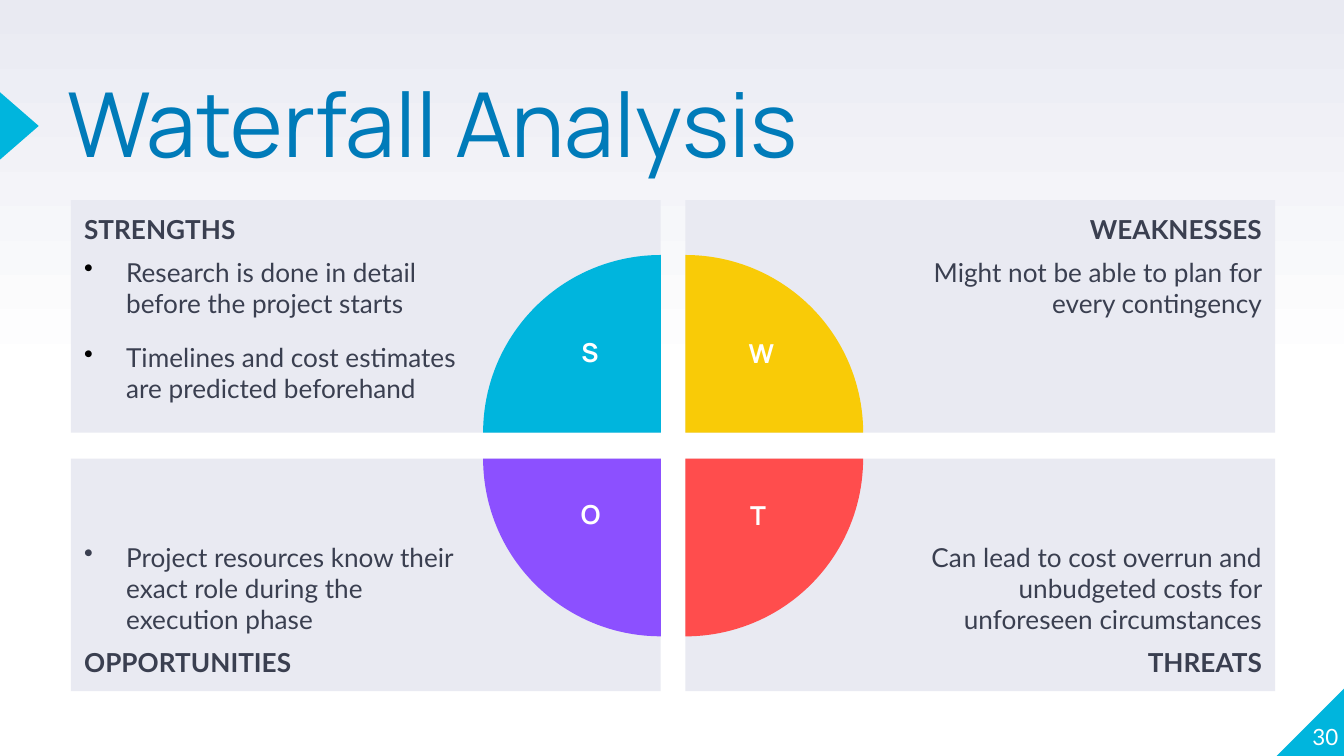
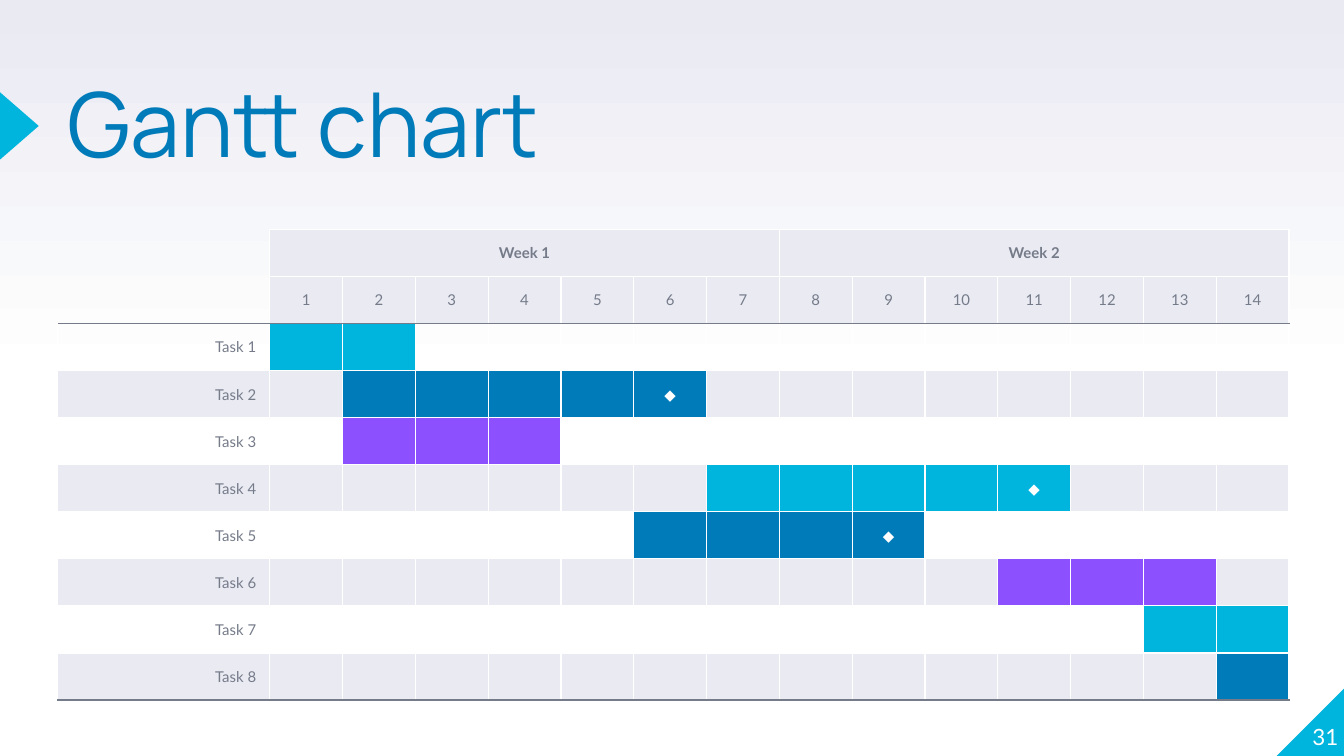
"""Build a SWOT slide and a Gantt slide in one shared style."""
import copy

import lxml.etree
import pptx
import pptx.dml.color
import pptx.enum.shapes
import pptx.enum.text
import pptx.oxml.ns
import pptx.util

Pt = pptx.util.Pt
RGB = pptx.dml.color.RGBColor
SHAPE = pptx.enum.shapes.MSO_SHAPE
ALIGN = pptx.enum.text.PP_ALIGN
ANCHOR = pptx.enum.text.MSO_ANCHOR
qn = pptx.oxml.ns.qn

WHITE = RGB(0xFF, 0xFF, 0xFF)
BLACK = RGB(0x00, 0x00, 0x00)
MIST = RGB(0xE9, 0xEA, 0xF2)
INK = RGB(0x3A, 0x3F, 0x50)
SLATE = RGB(0x75, 0x7B, 0x89)
CYAN = RGB(0x00, 0xB5, 0xDD)
BLUE = RGB(0x00, 0x7B, 0xB9)
VIOLET = RGB(0x8C, 0x50, 0xFF)
YELLOW = RGB(0xF9, 0xCB, 0x07)
RED = RGB(0xFF, 0x4D, 0x4D)
HEADING_FONT = "Manrope"
BODY_FONT = "Lato"


class Deck:
    def __init__(self):
        self.presentation = pptx.Presentation()
        self.presentation.slide_width = Pt(720)
        self.presentation.slide_height = Pt(405)
        self.slide = None

    def new_slide(self, title, number):
        self.slide = self.presentation.slides.add_slide(self.presentation.slide_layouts[5])
        self.background()
        corner = self.shape(SHAPE.RIGHT_TRIANGLE, 684, 368.2, 36.8, 36.8, CYAN)
        corner.element.spPr.find(qn("a:xfrm")).set("flipH", "1")
        self.shape(SHAPE.ISOSCELES_TRIANGLE, -8, 57, 36.5, 21, CYAN, rotation=90)
        self.title(title)
        self.text_box(681, 365, 36, 36.8, number, 12, BODY_FONT, align=ALIGN.RIGHT,
                      anchor=ANCHOR.BOTTOM, insets=(0, 0, 0, 0))

    def background(self):
        fill = self.slide.background.fill
        fill.gradient()
        fill.gradient_angle = 90
        first = self.slide.element.xpath(".//a:gsLst/a:gs")[0]
        first.addnext(copy.deepcopy(first))
        for stop, position, color in zip(fill.gradient_stops, (0, 0.5, 1), (WHITE, WHITE, MIST)):
            stop.position = position
            stop.color.rgb = color

    def title(self, text):
        title = self.slide.shapes.title
        title.left, title.top, title.width, title.height = Pt(36), Pt(47.5), Pt(444), Pt(85)
        self.frame(title, (0, 0, 0, 0), ANCHOR.TOP)
        title.text_frame.auto_size = pptx.enum.text.MSO_AUTO_SIZE.NONE
        paragraph = title.text_frame.paragraphs[0]
        paragraph.line_spacing = 0.8
        self.run(paragraph, text, 48, BLUE, HEADING_FONT, align=ALIGN.LEFT)

    def shape(self, kind, left, top, width, height, color, rotation=0):
        shape = self.slide.shapes.add_shape(kind, Pt(left), Pt(top), Pt(width), Pt(height))
        shape.shadow.inherit = False
        shape.fill.solid()
        shape.fill.fore_color.rgb = color
        shape.line.fill.background()
        shape.rotation = rotation
        return shape

    def frame(self, holder, insets, anchor):
        frame = holder.text_frame
        frame.word_wrap = True
        frame.vertical_anchor = anchor
        (frame.margin_left, frame.margin_top,
         frame.margin_right, frame.margin_bottom) = map(Pt, insets)

    def run(self, paragraph, text, size, color, font, bold=False, align=ALIGN.CENTER):
        paragraph.alignment = align
        run = paragraph.add_run()
        run.text = text
        run.font.size = Pt(size)
        run.font.name = font
        run.font.bold = bold
        run.font.color.rgb = color

    def text_box(self, left, top, width, height, text, size, font, bold=False,
                 align=ALIGN.CENTER, anchor=ANCHOR.TOP, insets=(7.2, 3.6, 7.2, 3.6)):
        box = self.slide.shapes.add_textbox(Pt(left), Pt(top), Pt(width), Pt(height))
        self.frame(box, insets, anchor)
        self.run(box.text_frame.paragraphs[0], text, size, WHITE, font, bold, align)

    def bullet(self, paragraph, color):
        properties = paragraph._p.get_or_add_pPr()
        properties.set("marL", str(Pt(22.5)))
        properties.set("indent", str(-Pt(22.5)))
        bullet_color = lxml.etree.SubElement(properties, qn("a:buClr"))
        lxml.etree.SubElement(bullet_color, qn("a:srgbClr"), val=str(color))
        lxml.etree.SubElement(properties, qn("a:buChar"), char="•")

    def panel(self, left, top, width, height, heading, points, bullet_color, on_right, at_bottom):
        panel = self.shape(SHAPE.RECTANGLE, left, top, width, height, MIST)
        insets = (108, 7.2, 7.2, 7.2) if on_right else (7.2, 7.2, 108, 7.2)
        self.frame(panel, insets, ANCHOR.BOTTOM if at_bottom else ANCHOR.TOP)
        lines = points + [heading] if at_bottom else [heading] + points
        for index, line in enumerate(lines):
            frame = panel.text_frame
            paragraph = frame.add_paragraph() if index else frame.paragraphs[0]
            if bullet_color is not None and line != heading:
                self.bullet(paragraph, bullet_color)
            if index:
                paragraph.space_before = paragraph.space_after = Pt(6)
            self.run(paragraph, line, 14, INK, BODY_FONT, line == heading,
                     ALIGN.RIGHT if on_right else ALIGN.LEFT)

    def quarter(self, center_x, center_y, radius, color, rotation):
        pie = self.shape(SHAPE.PIE, center_x - radius, center_y - radius,
                         2 * radius, 2 * radius, color, rotation)
        pie.adjustments[0] = 108
        pie.adjustments[1] = 162

    def table(self, left, top, widths, row_height, row_count):
        table = self.slide.shapes.add_table(row_count, len(widths), Pt(left), Pt(top),
                                            Pt(sum(widths)), Pt(row_height * row_count)).table
        table.first_row = table.horz_banding = False
        for column, width in zip(table.columns, widths):
            column.width = Pt(width)
        for row in table.rows:
            row.height = Pt(row_height)
        return table

    def cell(self, cell, text, fill, borders, color=SLATE, bold=False, align=ALIGN.CENTER):
        cell.vertical_anchor = ANCHOR.MIDDLE
        if fill is None:
            cell.fill.background()
        else:
            cell.fill.solid()
            cell.fill.fore_color.rgb = fill
        paragraph = cell.text_frame.paragraphs[0]
        if text:
            self.run(paragraph, text, 8, color, BODY_FONT, bold, align)
        else:
            lxml.etree.SubElement(paragraph._p, qn("a:endParaRPr"), sz="800")
        for index, (side, line_color) in enumerate(zip("LRTB", borders)):
            line = lxml.etree.Element(qn("a:ln" + side), w=str(Pt(0.75)))
            if line_color is None:
                lxml.etree.SubElement(line, qn("a:noFill"))
            else:
                solid = lxml.etree.SubElement(line, qn("a:solidFill"))
                lxml.etree.SubElement(solid, qn("a:srgbClr"), val=str(line_color))
            cell._tc.get_or_add_tcPr().insert(index, line)


def swot_slide(deck):
    deck.new_slide("Waterfall Analysis", "30")
    left, top, width, height, gap_x, gap_y = 38, 107.2, 316, 124.6, 13.2, 13.9
    quadrants = [
        ("STRENGTHS", ["Research is done in detail before the project starts",
                       "Timelines and cost estimates are predicted beforehand"],
         BLACK, CYAN, 0, (302.4, 176.4, 27.4, 35.3)),
        ("WEAKNESSES", ["Might not be able to plan for every contingency"],
         None, YELLOW, 90, (382.3, 177, 51.1, 34.6)),
        ("OPPORTUNITIES", ["Project resources know their exact role during the execution phase"],
         INK, VIOLET, 270, (299.5, 263.5, 33.8, 35.3)),
        ("THREATS", ["Can lead to cost overrun and unbudgeted costs for unforeseen circumstances"],
         None, RED, 180, (391.7, 264.2, 28.8, 34.6)),
    ]
    for index, (heading, points, bullet_color, *_) in enumerate(quadrants):
        row, column = divmod(index, 2)
        deck.panel(left + column * (width + gap_x), top + row * (height + gap_y),
                   width, height, heading, points, bullet_color, column == 1, row == 1)
    for index, (*_, color, rotation, _) in enumerate(quadrants):
        row, column = divmod(index, 2)
        deck.quarter(left + width + column * gap_x, top + height + row * gap_y,
                     95.2, color, rotation)
    for heading, *_, place in quadrants:
        deck.text_box(*place, heading[0], 14, HEADING_FONT, bold=True)


def gantt_slide(deck):
    deck.new_slide("Gantt chart", "31")
    days = 14
    tasks = [(1, 2, CYAN, None), (2, 6, BLUE, 6), (2, 4, VIOLET, None), (7, 11, CYAN, 11),
             (6, 9, BLUE, 9), (11, 13, VIOLET, None), (13, 14, CYAN, None), (14, 14, BLUE, None)]
    gantt = deck.table(31, 123, [113.5] + [39.03] * days, 25.2, len(tasks) + 2)
    deck.cell(gantt.cell(0, 0), "", None, (None, WHITE, None, None))
    deck.cell(gantt.cell(1, 0), "", None, (None, WHITE, None, SLATE))
    for day in range(1, days + 1):
        week, weekday = divmod(day - 1, 7)
        week_label = "" if weekday else f"Week {week + 1}"
        deck.cell(gantt.cell(0, day), week_label, MIST, [WHITE] * 4, bold=True)
        deck.cell(gantt.cell(1, day), str(day), MIST, (WHITE, WHITE, WHITE, SLATE))
    for monday in (1, 8):
        gantt.cell(0, monday).merge(gantt.cell(0, monday + 6))
    for number, (start, end, color, milestone) in enumerate(tasks, 1):
        band = None if number % 2 else MIST
        borders = (WHITE, WHITE, SLATE if number == 1 else WHITE,
                   SLATE if number == len(tasks) else WHITE)
        deck.cell(gantt.cell(number + 1, 0), f"Task {number}", band, borders, align=ALIGN.RIGHT)
        for day in range(1, days + 1):
            deck.cell(gantt.cell(number + 1, day), "◆" if day == milestone else "",
                      color if start <= day <= end else band, borders, WHITE)


def main():
    deck = Deck()
    swot_slide(deck)
    gantt_slide(deck)
    deck.presentation.save("out.pptx")


if __name__ == "__main__":
    main()
